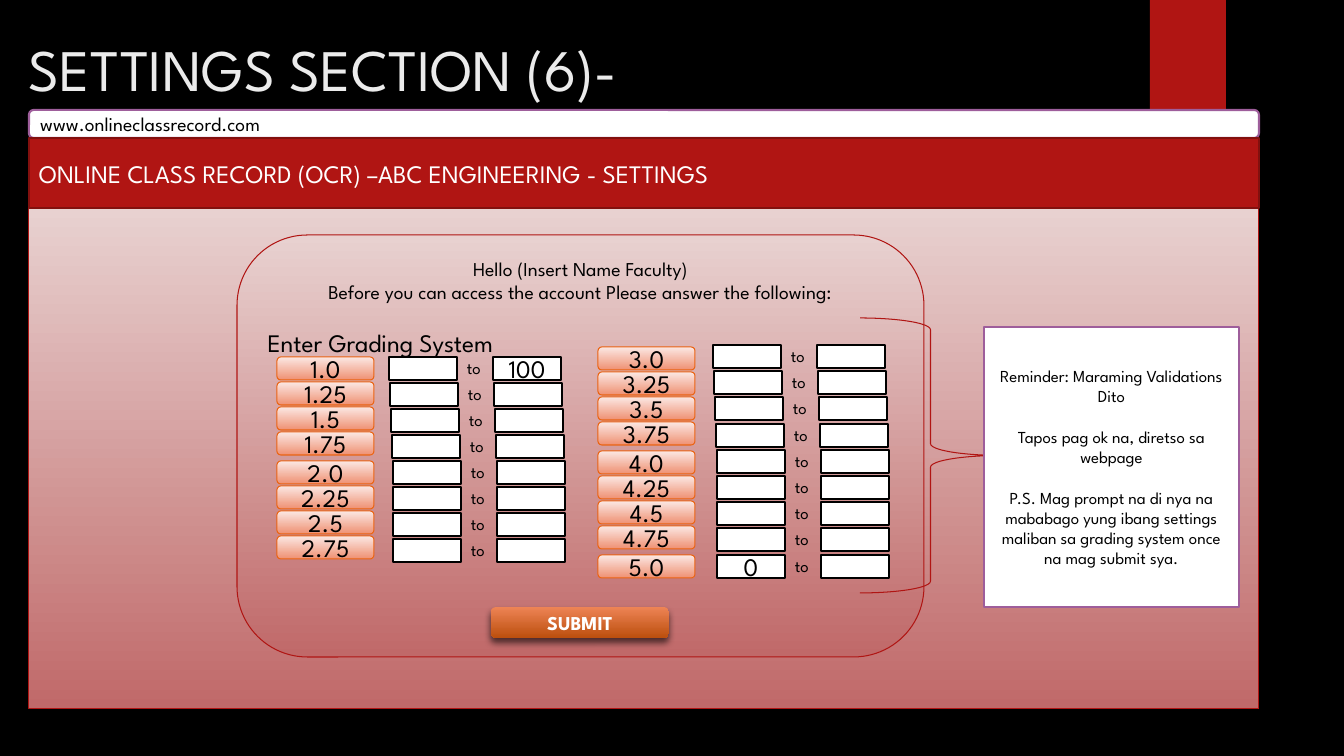
import dataclasses

import lxml.etree
import pptx
import pptx.dml.color
import pptx.enum.shapes
import pptx.enum.text
import pptx.oxml.ns
import pptx.util

SHAPE = pptx.enum.shapes.MSO_SHAPE
ALIGN = pptx.enum.text.PP_ALIGN
ANCHOR = pptx.enum.text.MSO_ANCHOR
EMU_PER_PX = 914400 / 100.8


@dataclasses.dataclass(frozen=True)
class Theme:
    """Colours, font and type sizes of the slide."""
    font: str = "League Spartan"
    black: str = "000000"
    white: str = "FFFFFF"
    title: str = "EBEBEB"
    red: str = "B01513"
    dark_red: str = "82100E"
    purple: str = "9E5E9B"
    orange: str = "EA6312"
    page: tuple = ("E8D1D0", "C06969")
    grade: tuple = ("FBE8E4", "EF9173")
    button: tuple = ("EE8455", "BC4F0E")
    heading: int = 42
    large: int = 18
    body: int = 14
    small: int = 12


def px(n):
    """Turn pixels into EMU."""
    return pptx.util.Emu(round(n * EMU_PER_PX))


def rgb(value):
    """Turn a hex string into a colour."""
    return pptx.dml.color.RGBColor.from_string(value)


class SlideBuilder:
    """Draws styled elements on the current slide."""

    def __init__(self, s, theme):
        """Keep the slide and theme, and paint the background."""
        self.s, self.theme = s, theme
        s.background.fill.solid()
        s.background.fill.fore_color.rgb = rgb(theme.black)

    def shape(self, kind, box, fill=None, line=None, width=1.5):
        """Add a preset shape with a plain, two-colour or empty fill."""
        sp = self.s.shapes.add_shape(kind, *map(px, box))
        sp.shadow.inherit = False
        if fill is None:
            sp.fill.background()
        elif isinstance(fill, tuple):
            sp.fill.gradient()
            sp.fill.gradient_angle = 270
            for stop, color in zip(sp.fill.gradient_stops, fill):
                stop.color.rgb = rgb(color)
        else:
            sp.fill.solid()
            sp.fill.fore_color.rgb = rgb(fill)
        if line:
            sp.line.color.rgb = rgb(line)
            sp.line.width = pptx.util.Pt(width)
        else:
            sp.line.fill.background()
        return sp

    def text(self, sp, words, size, color=None, align=ALIGN.CENTER,
             anchor=ANCHOR.MIDDLE, bold=False):
        """Set and format text, one paragraph to a line."""
        tf = sp.text_frame
        tf.text = words
        tf.word_wrap = True
        tf.vertical_anchor = anchor
        for p in tf.paragraphs:
            p.alignment = align
            for r in p.runs:
                r.font.name = self.theme.font
                r.font.size = pptx.util.Pt(size)
                r.font.bold = bold
                r.font.color.rgb = rgb(color or self.theme.black)
        return tf

    def label(self, box, words, size, color=None, anchor=ANCHOR.TOP):
        """Add a left-aligned text box."""
        sp = self.s.shapes.add_textbox(*map(px, box))
        self.text(sp, words, size, color, ALIGN.LEFT, anchor)

    def shadow(self, sp):
        """Put a soft shadow below a shape."""
        qn = pptx.oxml.ns.qn
        effects = sp._element.spPr.find(qn("a:effectLst"))
        outer = lxml.etree.SubElement(effects, qn("a:outerShdw"), blurRad="63500",
                                      dist="38100", dir="5400000", rotWithShape="0")
        color = lxml.etree.SubElement(outer, qn("a:srgbClr"), val=self.theme.black)
        lxml.etree.SubElement(color, qn("a:alpha"), val="60000")

    def field(self, x, y, words=""):
        """Add an input field, filled in if it has text."""
        sp = self.shape(SHAPE.RECTANGLE, (x, y, 68, 23),
                        self.theme.white, self.theme.black)
        if words:
            self.text(sp, words, self.theme.large)

    def grade_column(self, grades, label_at, field_at, pitch, entries):
        """Add grade labels, each with a range of two fields."""
        t = self.theme
        for i, grade in enumerate(grades):
            label_y = label_at[1] + 25 * i + 4 * (i // 4)
            sp = self.shape(SHAPE.ROUNDED_RECTANGLE, (label_at[0], label_y, 97, 23),
                            t.grade, t.orange, 0.75)
            self.text(sp, grade, t.large)
            x, y = field_at[0] + min(i, 4), field_at[1] + round(pitch * i)
            low, high = entries.get(grade, ("", ""))
            self.field(x, y, low)
            self.field(x + 104, y, high)
            self.label((x + 68, y - 4, 46, 30), "to", t.small)


def draw_window(b):
    """Draw the title, the address bar and the page of the web window."""
    t = b.theme
    b.shape(SHAPE.RECTANGLE, (1150, 0, 76, 126), t.red)
    b.label((19, 25, 1238, 86), "SETTINGS SECTION (6)-", t.heading, t.title,
            ANCHOR.MIDDLE)
    address = b.shape(SHAPE.ROUNDED_RECTANGLE, (29, 110, 1230, 28), t.white, t.purple)
    b.text(address, "www.onlineclassrecord.com", t.body, align=ALIGN.LEFT)
    b.shape(SHAPE.RECTANGLE, (29, 208, 1230, 501), t.page, t.red, 0.75)
    banner = b.shape(SHAPE.RECTANGLE, (29, 138, 1230, 70), t.red, t.dark_red)
    b.text(banner, "ONLINE CLASS RECORD (OCR) –ABC ENGINEERING - SETTINGS",
           t.large, t.white, ALIGN.LEFT)


def draw_form(b):
    """Draw the grading form with its submit button."""
    t = b.theme
    panel = b.shape(SHAPE.ROUNDED_RECTANGLE, (237, 235, 687, 422), t.page, t.red, 0.75)
    tf = b.text(panel, "Hello (Insert Name Faculty)\n"
                "Before you can access the account Please answer the following:\n"
                "Enter Grading System", t.body, anchor=ANCHOR.TOP)
    tf.margin_top = px(1)
    p = tf.paragraphs[-1]
    p.alignment = ALIGN.LEFT
    p.space_before = pptx.util.Pt(17)
    p.runs[0].font.size = pptx.util.Pt(t.large)

    submit = b.shape(SHAPE.ROUNDED_RECTANGLE, (491, 607, 178, 31), t.button)
    b.shadow(submit)
    b.text(submit, "SUBMIT", t.body, t.white, bold=True)

    b.grade_column(("1.0", "1.25", "1.5", "1.75", "2.0", "2.25", "2.5", "2.75"),
                   (277, 357), (389, 357), 26, {"1.0": ("", "100")})
    b.grade_column(("3.0", "3.25", "3.5", "3.75", "4.0", "4.25", "4.5", "4.75", "5.0"),
                   (598, 347), (713, 345), 26.2, {"5.0": ("0", "")})


def draw_reminder(b):
    """Draw the brace and the reminder beside the form."""
    t = b.theme
    b.shape(SHAPE.RIGHT_BRACE, (860, 318, 141, 275), line=t.red, width=0.75)
    note = b.shape(SHAPE.RECTANGLE, (984, 327, 255, 280), t.white, t.purple)
    tf = b.text(note, "Reminder: Maraming Validations Dito\n"
                "Tapos pag ok na, diretso sa webpage\n"
                "P.S. Mag prompt na di nya na mababago yung ibang settings "
                "maliban sa grading system once na mag submit sya.", t.small)
    for p in tf.paragraphs[1:]:
        p.space_before = pptx.util.Pt(14.5)


def main():
    """Build and save the slide."""
    prs = pptx.Presentation()
    prs.slide_width, prs.slide_height = px(1344), px(756)
    b = SlideBuilder(prs.slides.add_slide(prs.slide_layouts[6]), Theme())
    draw_window(b)
    draw_form(b)
    draw_reminder(b)
    prs.save("out.pptx")


main()
